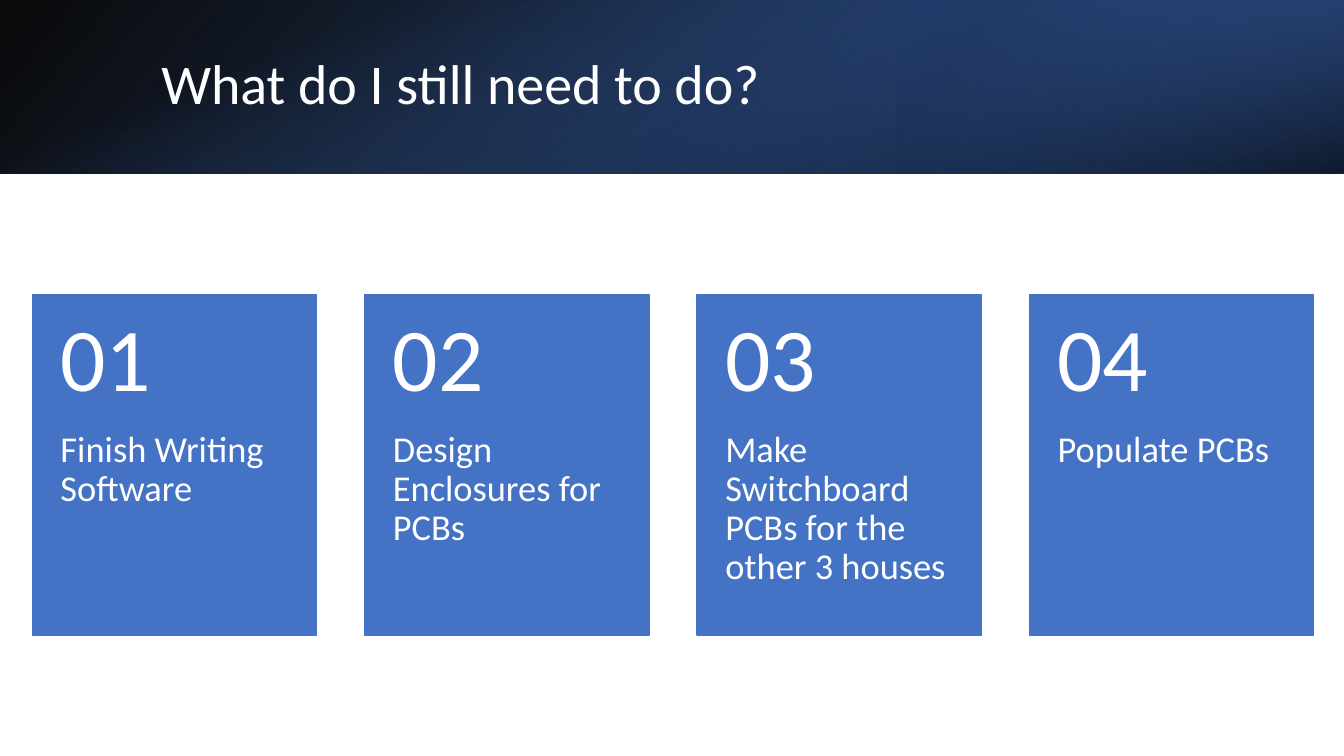
from lxml import etree
from pptx import Presentation
from pptx.dml.color import RGBColor
from pptx.enum.shapes import MSO_SHAPE
from pptx.enum.text import MSO_ANCHOR, PP_ALIGN
from pptx.oxml.ns import qn
from pptx.util import Inches, Pt

BLUE, WHITE, BLACK = "4472C4", "FFFFFF", "000000"
BAND_HEIGHT, SLIDE_WIDTH = 1.72, 13.33


def color(hex_value):
    return RGBColor.from_string(hex_value)


class SlideBuilder:
    font = "Calibri"
    line_spacing = 0.9

    def __init__(self, slide):
        self.slide = slide

    def rectangle(self, left, top, width, height):
        shape = self.slide.shapes.add_shape(
            MSO_SHAPE.RECTANGLE, Inches(left), Inches(top), Inches(width), Inches(height))
        shape.shadow.inherit = False
        return shape

    def gradient_band(self, box, stops, angle, rotation=0, flipped=False):
        """Stops are (position %, colour, opacity %); the angle runs clockwise."""
        shape = self.rectangle(*box)
        shape.rotation = rotation
        shape.line.fill.background()
        if flipped:
            shape.element.spPr.xfrm.set("flipH", "1")
        shape.fill.gradient()
        shape.fill.gradient_angle = 360 - angle
        for stop, (position, hex_value, _) in zip(shape.fill.gradient_stops, stops):
            stop.position = position / 100
            stop.color.rgb = color(hex_value)
        color_elements = shape.element.spPr.iter(qn("a:srgbClr"))
        for element, (_, _, opacity) in zip(color_elements, stops):
            etree.SubElement(element, qn("a:alpha")).set("val", str(opacity * 1000))

    def panel(self, left, top, width, height):
        shape = self.rectangle(left, top, width, height)
        shape.fill.solid()
        shape.fill.fore_color.rgb = color(BLUE)
        shape.line.color.rgb = color(BLUE)
        shape.line.width = Pt(1)

    def set_text(self, shape, text, size, anchor):
        frame = shape.text_frame
        frame.word_wrap = True
        frame.vertical_anchor = anchor
        frame.text = text
        paragraph = frame.paragraphs[0]
        paragraph.alignment = PP_ALIGN.LEFT
        paragraph.line_spacing = self.line_spacing
        font = paragraph.runs[0].font
        font.name, font.size = self.font, Pt(size)
        font.color.rgb = color(WHITE)

    def title(self, text, left, top, width, height):
        title = self.slide.shapes.title
        title.left, title.top = Inches(left), Inches(top)
        title.width, title.height = Inches(width), Inches(height)
        self.set_text(title, text, 40, MSO_ANCHOR.MIDDLE)
        # Bring the title in front of the bands
        title.element.getparent().append(title.element)

    def text(self, text, box, size, anchor, inset_top, inset_bottom):
        shape = self.slide.shapes.add_textbox(*[Inches(length) for length in box])
        frame = shape.text_frame
        frame.margin_left = frame.margin_right = Inches(0.28)
        frame.margin_top, frame.margin_bottom = Inches(inset_top), Inches(inset_bottom)
        self.set_text(shape, text, size, anchor)

    def card(self, number, task, left, top, width, height):
        number_height = height * 0.4
        self.panel(left, top, width, height)
        self.text(task, (left, top + number_height, width, height - number_height),
                  26, MSO_ANCHOR.TOP, 0, 0.36)
        self.text(f"{number:02}", (left, top, width, number_height),
                  64, MSO_ANCHOR.MIDDLE, 0.18, 0.18)


def main():
    presentation = Presentation()
    presentation.slide_width, presentation.slide_height = Inches(SLIDE_WIDTH), Inches(7.5)
    builder = SlideBuilder(presentation.slides.add_slide(presentation.slide_layouts[5]))

    # Header: three layered gradients
    builder.gradient_band((0, 0, SLIDE_WIDTH, BAND_HEIGHT),
                          [(0, BLACK, 96), (100, "2F5597", 100)], 140, flipped=True)
    builder.gradient_band((8.89, 0, 4.44, BAND_HEIGHT),
                          [(19, "203864", 68), (100, BLUE, 79)], 320, 180, flipped=True)
    # A quarter turn lays this tall band across the header
    offset = (SLIDE_WIDTH - BAND_HEIGHT) / 2
    builder.gradient_band((offset, -offset, BAND_HEIGHT, SLIDE_WIDTH),
                          [(23, BLUE, 0), (99, BLACK, 74)], 340, 90)
    builder.title("What do I still need to do?", 1.5, 0.38, 10.98, 0.96)

    # Numbered task cards
    tasks = ["Finish Writing Software", "Design Enclosures for PCBs",
             "Make Switchboard PCBs for the other 3 houses", "Populate PCBs"]
    first_left, last_left = 0.32, 10.21
    pitch = (last_left - first_left) / (len(tasks) - 1)
    for index, task in enumerate(tasks):
        builder.card(index + 1, task, first_left + index * pitch, 2.92, 2.82, 3.38)

    presentation.save("out.pptx")


if __name__ == "__main__":
    main()
